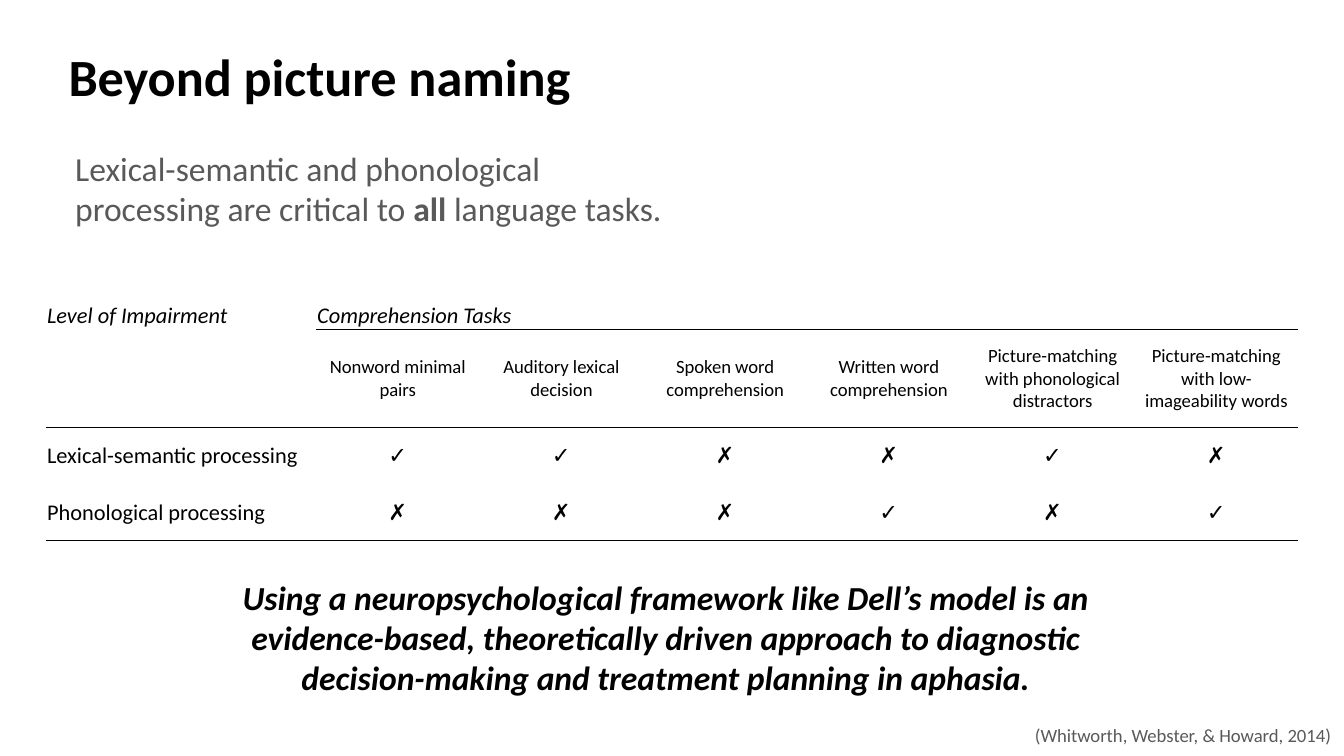
import pptx
import pptx.dml.color
import pptx.enum.text
import pptx.oxml.ns
import pptx.util
from lxml import etree

Inches = pptx.util.Inches
Pt = pptx.util.Pt
qn = pptx.oxml.ns.qn
ALIGN = pptx.enum.text.PP_ALIGN
ANCHOR = pptx.enum.text.MSO_ANCHOR

BLACK = pptx.dml.color.RGBColor(0x00, 0x00, 0x00)
GRAY = pptx.dml.color.RGBColor(0x59, 0x59, 0x59)
FONT = "Calibri"
NO_STYLE_NO_GRID = "{2D5ABB26-0587-4C30-8999-92F81FD0307C}"

TASKS = [
    "Nonword minimal pairs",
    "Auditory lexical decision",
    "Spoken word comprehension",
    "Written word comprehension",
    "Picture-matching with phonological distractors",
    "Picture-matching with low-imageability words",
]
TABLE_ROWS = [
    ["Level of Impairment", "Comprehension Tasks"] + [""] * 5,
    [""] + TASKS,
    ["Lexical-semantic processing", *"✓✓✗✗✓✗"],
    ["Phonological processing", *"✗✗✗✓✗✓"],
]
ROW_HEIGHTS = [0.22, 0.73, 0.42, 0.42]
LABEL_WIDTH = 2.01


def format_paragraph(paragraph, size, color=BLACK, bold=False, italic=False,
                     align=ALIGN.LEFT):
    paragraph.alignment = align
    font = paragraph.font
    font.name, font.size, font.color.rgb = FONT, Pt(size), color
    font.bold, font.italic = bold, italic


def place(shape, box):
    shape.left, shape.top, shape.width, shape.height = map(Inches, box)


def prepare_placeholder(placeholder, box):
    """Move a placeholder and return its text frame, set from the top."""
    place(placeholder, box)
    frame = placeholder.text_frame
    frame.word_wrap = True
    frame.auto_size = pptx.enum.text.MSO_AUTO_SIZE.NONE
    frame.vertical_anchor = ANCHOR.TOP
    frame.margin_left = frame.margin_right = Inches(0.1)
    frame.margin_top = frame.margin_bottom = Inches(0.1)
    return frame


def add_title(slide, box):
    frame = prepare_placeholder(slide.shapes.title, box)
    frame.text = "Beyond picture naming"
    format_paragraph(frame.paragraphs[0], 28, bold=True)


def add_statement(slide, box):
    frame = prepare_placeholder(slide.placeholders[1], box)
    paragraph = frame.paragraphs[0]
    properties = paragraph._p.get_or_add_pPr()
    properties.set("marL", str(Inches(0.16)))
    properties.set("indent", "0")
    paragraph.space_before = Pt(0)
    etree.SubElement(properties, qn("a:buNone"))
    format_paragraph(paragraph, 18, GRAY)
    for text, bold in [
        ("Lexical-semantic and phonological processing are critical to ", False),
        ("all ", True),
        ("language tasks.", False),
    ]:
        run = paragraph.add_run()
        run.text = text
        run.font.bold = bold


def add_text(slide, box, text, size, **style):
    frame = slide.shapes.add_textbox(*map(Inches, box)).text_frame
    frame.word_wrap = True
    frame.text = text
    format_paragraph(frame.paragraphs[0], size, **style)


def set_borders(cell, ruled_sides):
    """Rule the given sides of a cell in black and clear the others."""
    for side in "LRTB":
        line = etree.SubElement(cell._tc.get_or_add_tcPr(),
                                qn(f"a:ln{side}"), w=str(Pt(0.75)))
        if side in ruled_sides:
            fill = etree.SubElement(line, qn("a:solidFill"))
            etree.SubElement(fill, qn("a:srgbClr"), val=str(BLACK))
        else:
            etree.SubElement(line, qn("a:noFill"))


def fill_cell(cell, text, row, column):
    cell.margin_left = cell.margin_right = cell.margin_top = Inches(0.01)
    cell.margin_bottom = 0
    cell.vertical_anchor = ANCHOR.BOTTOM if row == 0 else ANCHOR.MIDDLE
    size = 10 if row == 1 else 12
    centered = row > 0 and column > 0
    cell.text = text
    paragraph = cell.text_frame.paragraphs[0]
    format_paragraph(paragraph, size, italic=row == 0,
                     align=ALIGN.CENTER if centered else ALIGN.LEFT)
    if not text:
        etree.SubElement(paragraph._p, qn("a:endParaRPr"), sz=str(size * 100))
    ruled_sides = ""
    if row == 2 or (row == 1 and column > 0):
        ruled_sides += "T"
    if row in (1, 3) or (row == 0 and column > 0):
        ruled_sides += "B"
    set_borders(cell, ruled_sides)
    cell.fill.background()


def add_impairment_table(slide, box):
    left, top, width, height = map(Inches, box)
    table = slide.shapes.add_table(len(TABLE_ROWS), len(TASKS) + 1,
                                   left, top, width, height).table
    table.first_row = table.horz_banding = False
    table._tbl.tblPr.find(qn("a:tableStyleId")).text = NO_STYLE_NO_GRID

    label_width = Inches(LABEL_WIDTH)
    for column in table.columns:
        column.width = int((width - label_width) / len(TASKS))
    table.columns[0].width = label_width
    for row, row_height in zip(table.rows, ROW_HEIGHTS):
        row.height = Inches(row_height)

    for r, texts in enumerate(TABLE_ROWS):
        for c, text in enumerate(texts):
            fill_cell(table.cell(r, c), text, r, c)
    table.cell(0, 1).merge(table.cell(0, 2))


def main():
    presentation = pptx.Presentation()
    presentation.slide_width = Inches(10)
    presentation.slide_height = presentation.slide_width * 9 // 16
    slide = presentation.slides.add_slide(presentation.slide_layouts[1])

    add_title(slide, (0.41, 0.23, 8.41, 0.59))
    add_statement(slide, (0.3, 1, 4.91, 0.81))
    add_text(
        slide, (1.34, 4.24, 7.23, 1.01),
        "Using a neuropsychological framework like Dell’s model is an "
        "evidence-based, theoretically driven approach to diagnostic "
        "decision-making and treatment planning in aphasia.",
        18, bold=True, italic=True, align=ALIGN.CENTER)
    add_text(slide, (7.51, 5.34, 2.49, 0.27),
             "(Whitworth, Webster, & Howard, 2014)",
             10, color=GRAY, align=ALIGN.RIGHT)
    add_impairment_table(slide, (0.34, 2.23, 9.32, sum(ROW_HEIGHTS)))

    presentation.save("out.pptx")


if __name__ == "__main__":
    main()
